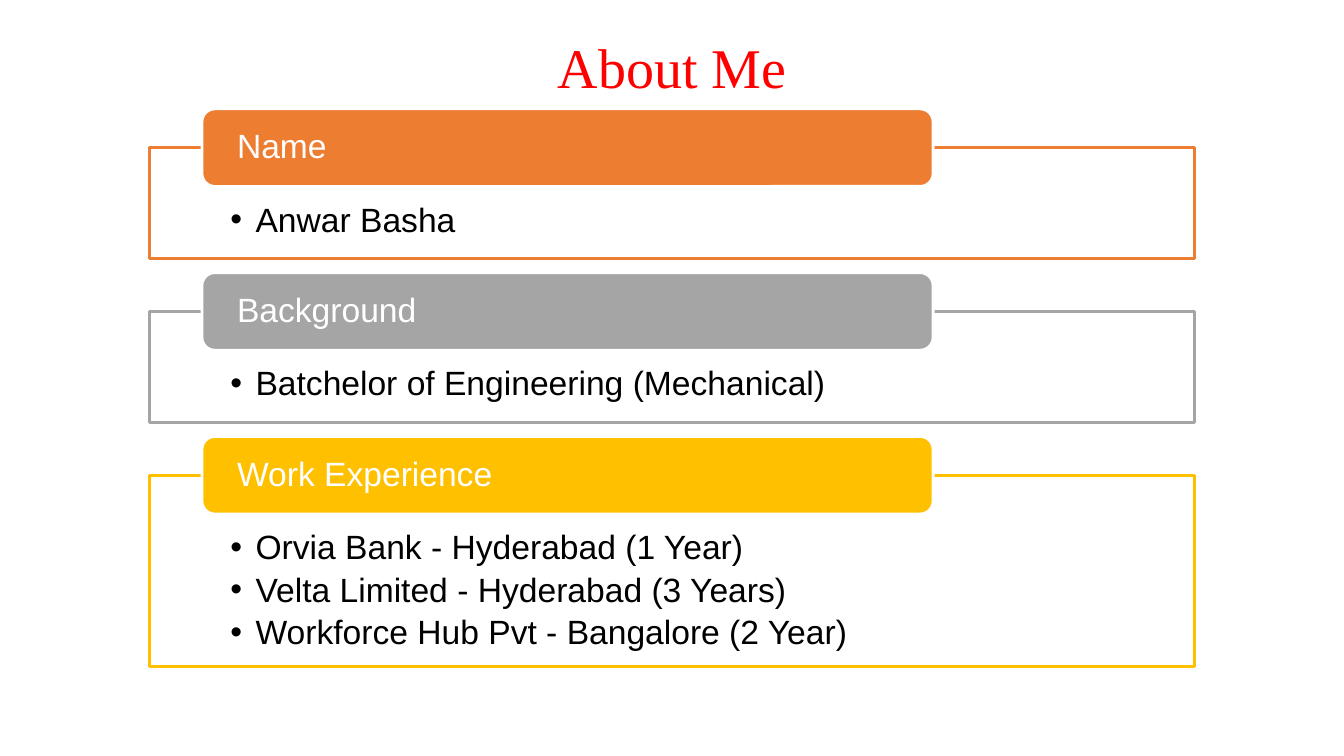
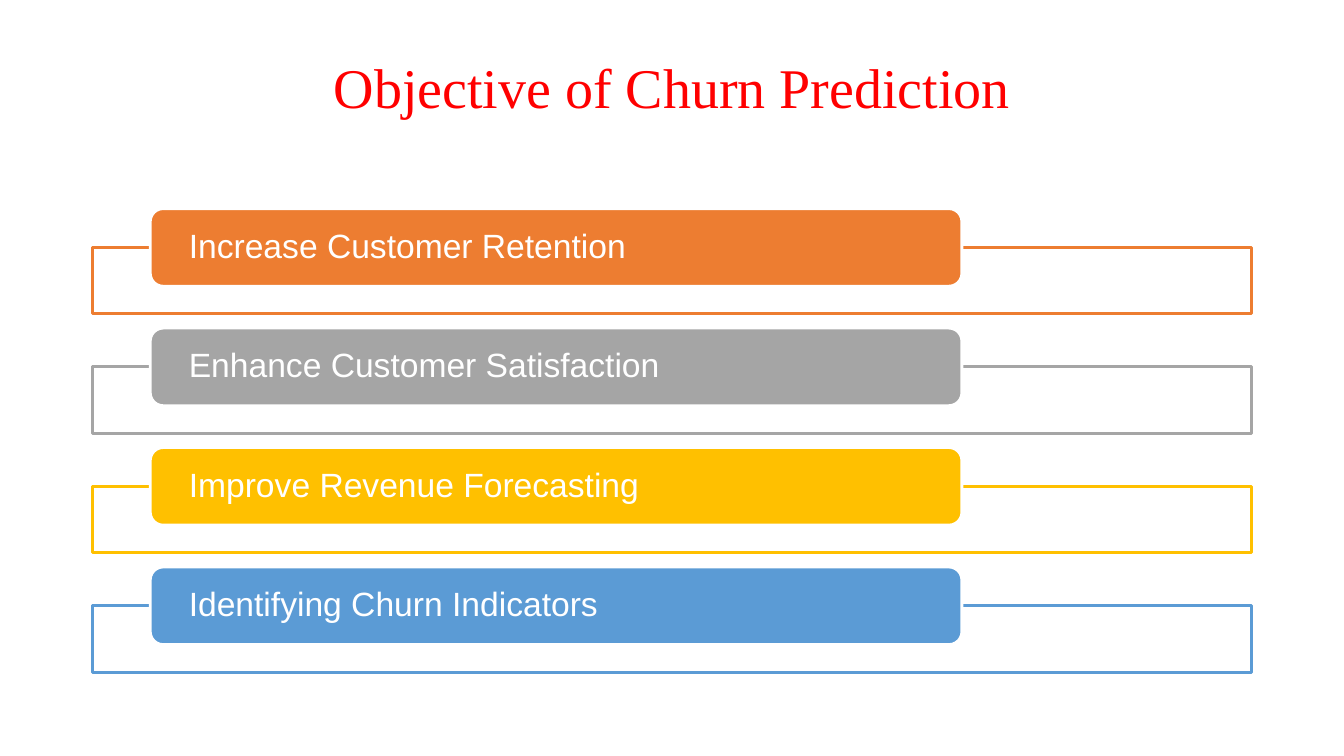
from dataclasses import dataclass

from pptx import Presentation
from pptx import util as u
from pptx.dml.color import RGBColor
from pptx.enum import shapes, text
from pptx.oxml.ns import qn

# Content: each section is a heading with its bullet points
SLIDES = [
    {
        "title": "About Me", "title_top": 0.4, "title_width": 11.5,
        "stack_top": 1.08, "frame_width": 10.36,
        "sections": [
            ("Name", ["Anwar Basha"]),
            ("Background", ["Batchelor of Engineering (Mechanical)"]),
            ("Work Experience", [
                "Orvia Bank - Hyderabad (1 Year)",
                "Velta Limited - Hyderabad (3 Years)",
                "Workforce Hub Pvt - Bangalore (2 Year)",
            ]),
        ],
    },
    {
        "title": "Objective of Churn Prediction", "title_top": 0.6, "title_width": 10.79,
        "stack_top": 2.07, "frame_width": 11.5,
        "sections": [
            ("Increase Customer Retention", []),
            ("Enhance Customer Satisfaction", []),
            ("Improve Revenue Forecasting", []),
            ("Identifying Churn Indicators", []),
        ],
    },
]


@dataclass(frozen=True)
class Theme:
    title_font: str = "Times New Roman"
    body_font: str = "Arial"
    title_size: int = 40
    body_size: int = 24
    title: str = "FF0000"
    ink: str = "000000"
    paper: str = "FFFFFF"
    accents: tuple = ("ED7D31", "A5A5A5", "FFC000", "5B9BD5")
    line: int = 2


THEME = Theme()
SLIDE_W, SLIDE_H = 13.33, 7.5

# Section geometry, in inches or as shares of the frame's width
HEADING_H = 0.77
SECTION_GAP = 0.14
EMPTY_FRAME_H = 0.66
FRAME_PADDING, BULLET_ROW_H = 0.7, 0.4
HEADING_INDENT, HEADING_SHARE, HEADING_INSET = 0.05, 0.7, 0.03
BULLET_INSETS = (0.8, 0.55, 0.8, 0.19)
BULLET_HANG = 0.25


def rgb(code):
    return RGBColor.from_string(code)


def add_run(paragraph, words, font, size, color):
    run = paragraph.add_run()
    run.text = words
    run.font.name, run.font.size = font, u.Pt(size)
    run.font.color.rgb = rgb(color)


def set_insets(frame, left, top, right, bottom):
    frame.margin_left, frame.margin_top = u.Inches(left), u.Inches(top)
    frame.margin_right, frame.margin_bottom = u.Inches(right), u.Inches(bottom)


def add_block(slide, preset, box, fill, line, insets, anchor):
    block = slide.shapes.add_shape(preset, *map(u.Inches, box))
    block.shadow.inherit = False
    block.fill.solid()
    block.fill.fore_color.rgb = rgb(fill)
    block.line.color.rgb = rgb(line)
    block.line.width = u.Pt(THEME.line)
    block.text_frame.word_wrap = True
    block.text_frame.vertical_anchor = anchor
    set_insets(block.text_frame, *insets)
    return block.text_frame


def write_lines(frame, lines, color, bulleted=False):
    for i, words in enumerate(lines):
        paragraph = frame.add_paragraph() if i else frame.paragraphs[0]
        paragraph.alignment = text.PP_ALIGN.LEFT
        paragraph.line_spacing = 0.9
        if bulleted:
            paragraph.space_after = u.Pt(4.4)
            props = paragraph._p.get_or_add_pPr()
            props.set("marL", str(u.Inches(BULLET_HANG)))
            props.set("indent", str(-u.Inches(BULLET_HANG)))
            for tag, key, value in (("a:buFont", "typeface", THEME.body_font),
                                    ("a:buChar", "char", "•")):
                bullet = props.makeelement(qn(tag), {key: value})
                props.append(bullet)
        add_run(paragraph, words, THEME.body_font, THEME.body_size, color)


def set_title(slide, words, top, width):
    title = slide.shapes.title
    title.left, title.top = u.Inches((SLIDE_W - width) / 2), u.Inches(top)
    title.width, title.height = u.Inches(width), u.Inches(0.64)
    frame = title.text_frame
    frame.word_wrap = True
    frame.auto_size = text.MSO_AUTO_SIZE.SHAPE_TO_FIT_TEXT
    set_insets(frame, 0.1, 0.05, 0.1, 0.05)
    paragraph = frame.paragraphs[0]
    paragraph.alignment = text.PP_ALIGN.CENTER
    paragraph.line_spacing = 0.8
    add_run(paragraph, words, THEME.title_font, THEME.title_size, THEME.title)


def add_section(slide, top, width, heading, points, accent):
    """Draw a frame with its heading across the top edge; return the bottom."""
    left = (SLIDE_W - width) / 2
    frame_top = top + HEADING_H / 2
    height = FRAME_PADDING + BULLET_ROW_H * len(points) if points else EMPTY_FRAME_H

    # Outlined frame with bullets
    body = add_block(slide, shapes.MSO_SHAPE.RECTANGLE, (left, frame_top, width, height),
                     THEME.paper, accent, BULLET_INSETS, text.MSO_ANCHOR.TOP)
    write_lines(body, points, THEME.ink, bulleted=True)

    # Heading band
    inset = HEADING_INSET * width
    band = (left + HEADING_INDENT * width, top, HEADING_SHARE * width, HEADING_H)
    label = add_block(slide, shapes.MSO_SHAPE.ROUNDED_RECTANGLE, band, accent,
                      THEME.paper, (inset, 0, inset, 0), text.MSO_ANCHOR.MIDDLE)
    write_lines(label, [heading], THEME.paper)
    return frame_top + height


def main():
    deck = Presentation()
    deck.slide_width, deck.slide_height = u.Inches(SLIDE_W), u.Inches(SLIDE_H)
    title_only = deck.slide_layouts[5]
    for content in SLIDES:
        slide = deck.slides.add_slide(title_only)
        set_title(slide, content["title"], content["title_top"], content["title_width"])
        top = content["stack_top"]
        for (heading, points), accent in zip(content["sections"], THEME.accents):
            bottom = add_section(slide, top, content["frame_width"], heading, points, accent)
            top = bottom + SECTION_GAP
    deck.save("out.pptx")


if __name__ == "__main__":
    main()
